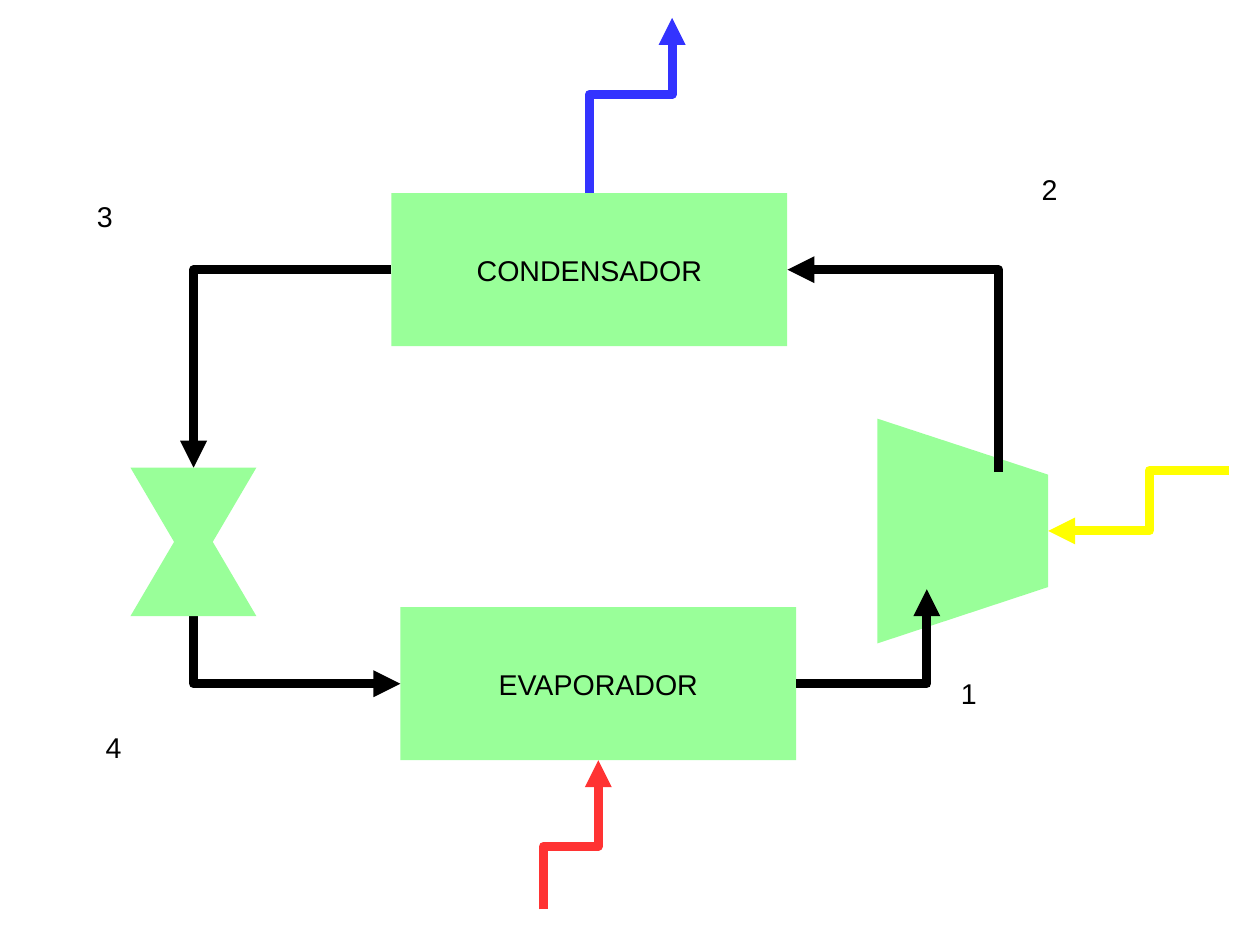
from lxml import etree
from pptx import Presentation
from pptx.dml.color import RGBColor
from pptx.enum.shapes import MSO_CONNECTOR as Link, MSO_SHAPE as Preset
from pptx.enum.text import MSO_ANCHOR as Anchor, MSO_AUTO_SIZE as AutoSize, PP_ALIGN as Align
from pptx.oxml.ns import qn
from pptx.util import Pt

SLIDE_SIZE = 793.7, 595.28
GREEN, BLACK, YELLOW, BLUE, RED = "99FF99", "000000", "FFFF00", "3333FF", "FF3333"
PIPE_WIDTH = 5.67

EXCHANGER_SIZE = 249.3, 96.4
EXCHANGERS = [("CONDENSADOR", 246.6, 121.7), ("EVAPORADOR", 252.2, 382.5)]
COMPRESSOR = [(552.7, 405.3), (552.7, 263.7), (660.3, 299), (660.3, 369.8)]
VALVE_LEFT, VALVE_WIDTH, VALVE_HEIGHT = 82.2, 79.3, 67.5
VALVE_TOPS = [(320.6, False), (294.6, True)]  # top, pointing down

# start, end, turn of the elbow in degrees, place of the middle leg (None: one bend), colour
PIPES = [
    ((629, 297.5), (496, 169.9), 270, None, BLACK),
    ((246.6, 169.9), (121.9, 294.6), 180, None, BLACK),
    ((121.9, 388.1), (252.2, 430.7), 270, None, BLACK),
    ((501.5, 430.7), (583.8, 371.2), 0, None, BLACK),
    ((774, 296.4), (660.3, 334.4), 180, 0.44, YELLOW),
    ((371.3, 121.7), (423.4, 11.3), 90, 0.564, BLUE),
    ((342.4, 572.8), (376.9, 478.9), 90, 0.424, RED),
]
STATES = [("1", 598.1, 422.4, 51), ("2", 649.1, 104.9, 39.7),
          ("3", 54, 121.8, 79.3), ("4", 59.5, 456.3, 68)]
STATE_HEIGHT = 27.4


def rgb(colour):
    return RGBColor.from_string(colour)


def paint(shape):
    shape.shadow.inherit = False
    shape.fill.solid()
    shape.fill.fore_color.rgb = rgb(GREEN)
    shape.line.fill.background()


def write(shape, label, align):
    paragraph = shape.text_frame.paragraphs[0]
    paragraph.text = label
    paragraph.alignment = align
    font = paragraph.runs[0].font
    font.name, font.size, font.color.rgb = "Arial", Pt(18), rgb(BLACK)


def add_pipe(shapes, start, end, turn, middle, colour):
    """Draw an elbow arrow, laid out unturned about its centre and then rotated."""
    (x1, y1), (x2, y2) = start, end
    dx, dy = x2 - x1, y2 - y1
    along, across = {0: (dx, dy), 90: (dy, -dx), 180: (-dx, -dy), 270: (-dy, dx)}[turn]
    cx, cy = (x1 + x2) / 2, (y1 + y2) / 2
    pipe = shapes.add_connector(Link.ELBOW, Pt(cx - along / 2), Pt(cy - across / 2),
                                Pt(cx + along / 2), Pt(cy + across / 2))
    pipe.line.width = Pt(PIPE_WIDTH)
    pipe.line.color.rgb = rgb(colour)
    properties = pipe._element.spPr
    properties.find(qn("a:xfrm")).set("rot", str(turn * 60000))
    geometry = properties.find(qn("a:prstGeom"))
    if middle is None:
        geometry.set("prst", "bentConnector2")
    else:
        etree.SubElement(geometry.find(qn("a:avLst")), qn("a:gd"),
                         name="adj1", fmla=f"val {round(middle * 100000)}")
    outline = properties.find(qn("a:ln"))
    etree.SubElement(outline, qn("a:round"))
    etree.SubElement(outline, qn("a:tailEnd"), type="triangle")
    etree.SubElement(properties, qn("a:effectLst"))


def main():
    deck = Presentation()
    deck.slide_width, deck.slide_height = map(Pt, SLIDE_SIZE)
    shapes = deck.slides.add_slide(deck.slide_layouts[6]).shapes

    for label, left, top in EXCHANGERS:
        exchanger = shapes.add_shape(Preset.RECTANGLE, Pt(left), Pt(top), *map(Pt, EXCHANGER_SIZE))
        paint(exchanger)
        exchanger.text_frame.word_wrap = False
        exchanger.text_frame.vertical_anchor = Anchor.MIDDLE
        write(exchanger, label, Align.CENTER)

    corners = [(Pt(x), Pt(y)) for x, y in COMPRESSOR]
    outline = shapes.build_freeform(*corners[0])
    outline.add_line_segments(corners[1:], close=True)
    paint(outline.convert_to_shape())

    for pipe in PIPES:
        add_pipe(shapes, *pipe)

    for label, left, top, width in STATES:
        state = shapes.add_textbox(Pt(left), Pt(top), Pt(width), Pt(STATE_HEIGHT))
        state.text_frame.word_wrap = True
        state.text_frame.auto_size = AutoSize.SHAPE_TO_FIT_TEXT
        write(state, label, Align.LEFT)

    valve = shapes.add_group_shape()
    for top, pointing_down in VALVE_TOPS:
        half = valve.shapes.add_shape(Preset.ISOSCELES_TRIANGLE, Pt(VALVE_LEFT), Pt(top),
                                      Pt(VALVE_WIDTH), Pt(VALVE_HEIGHT))
        paint(half)
        if pointing_down:
            half._element.spPr.find(qn("a:xfrm")).set("flipV", "1")

    deck.save("out.pptx")


if __name__ == "__main__":
    main()
